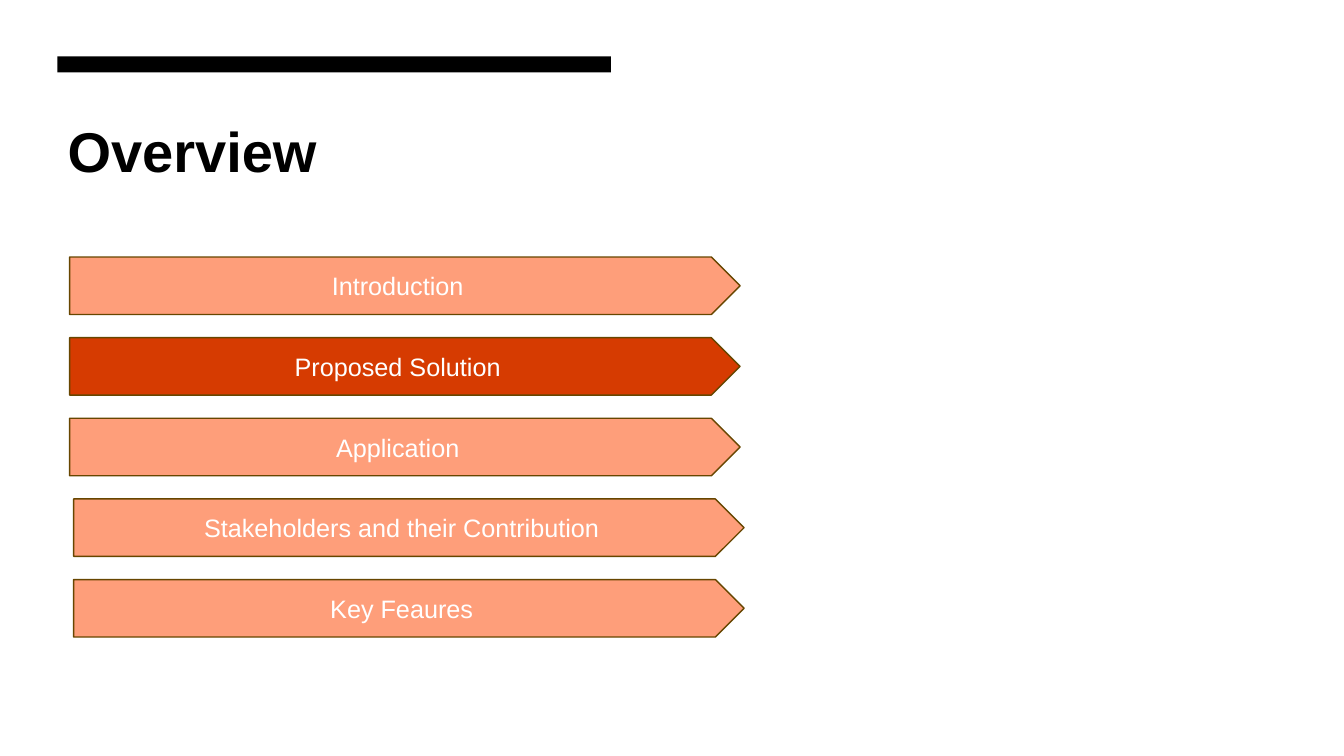
from dataclasses import dataclass

from pptx import Presentation
from pptx.dml.color import RGBColor
from pptx.enum.shapes import MSO_SHAPE as Form
from pptx.enum.text import MSO_ANCHOR as Anchor, MSO_AUTO_SIZE as Fit, PP_ALIGN as Align
from pptx.shapes.autoshape import Shape
from pptx.slide import Slide
from pptx.text.text import TextFrame
from pptx.util import Emu, Pt

SCALE = 9144
FONT = "Arial"
BLACK = RGBColor(0x00, 0x00, 0x00)
WHITE = RGBColor(0xFF, 0xFF, 0xFF)
PEACH = RGBColor(0xFE, 0x9E, 0x7A)
RUST = RGBColor(0xD6, 0x3B, 0x01)
BROWN = RGBColor(0x67, 0x46, 0x00)

TOP = 255
STEP = 80


@dataclass(frozen=True)
class Topic:
    text: str
    left: int = 69
    fill: RGBColor = PEACH


TOPICS = [
    Topic("Introduction"),
    Topic("Proposed Solution", fill=RUST),
    Topic("Application"),
    Topic("Stakeholders and their Contribution", left=73),
    Topic("Key Feaures", left=73),
]


def px(count: int) -> Emu:
    return Emu(count * SCALE)


def write(frame: TextFrame, text: str, size: int, color: RGBColor,
          align: Align, bold: bool = False) -> None:
    frame.word_wrap = True
    para = frame.paragraphs[0]
    para.alignment = align
    run = para.add_run()
    run.text = text
    font = run.font
    font.name = FONT
    font.size = Pt(size)
    font.bold = bold
    font.color.rgb = color


def block(slide: Slide, form: Form, left: int, top: int, width: int,
          height: int, fill: RGBColor) -> Shape:
    shape = slide.shapes.add_shape(form, px(left), px(top), px(width), px(height))
    shape.shadow.inherit = False
    shape.fill.solid()
    shape.fill.fore_color.rgb = fill
    shape.line.fill.background()
    return shape


def draw_title(slide: Slide) -> None:
    title = slide.shapes.title
    title.left, title.top = px(57), px(106)
    title.width, title.height = px(697), px(533)
    frame = title.text_frame
    frame.auto_size = Fit.NONE
    frame.vertical_anchor = Anchor.TOP
    frame.margin_top = px(10)
    write(frame, "Overview", 40, BLACK, Align.LEFT, bold=True)


def draw_topic(slide: Slide, topic: Topic, top: int) -> None:
    arrow = block(slide, Form.PENTAGON, topic.left, top, 665, 57, topic.fill)
    arrow.line.color.rgb = BROWN
    arrow.line.width = Pt(1)
    arrow.text_frame.vertical_anchor = Anchor.MIDDLE
    write(arrow.text_frame, topic.text, 18, WHITE, Align.CENTER)


def main() -> None:
    deck = Presentation()
    deck.slide_width, deck.slide_height = px(1333), px(750)
    slide = deck.slides.add_slide(deck.slide_layouts.get_by_name("Title Only"))
    block(slide, Form.RECTANGLE, 57, 56, 549, 16, BLACK)
    draw_title(slide)
    for row, topic in enumerate(TOPICS):
        draw_topic(slide, topic, TOP + row * STEP)
    deck.save("out.pptx")


if __name__ == "__main__":
    main()
